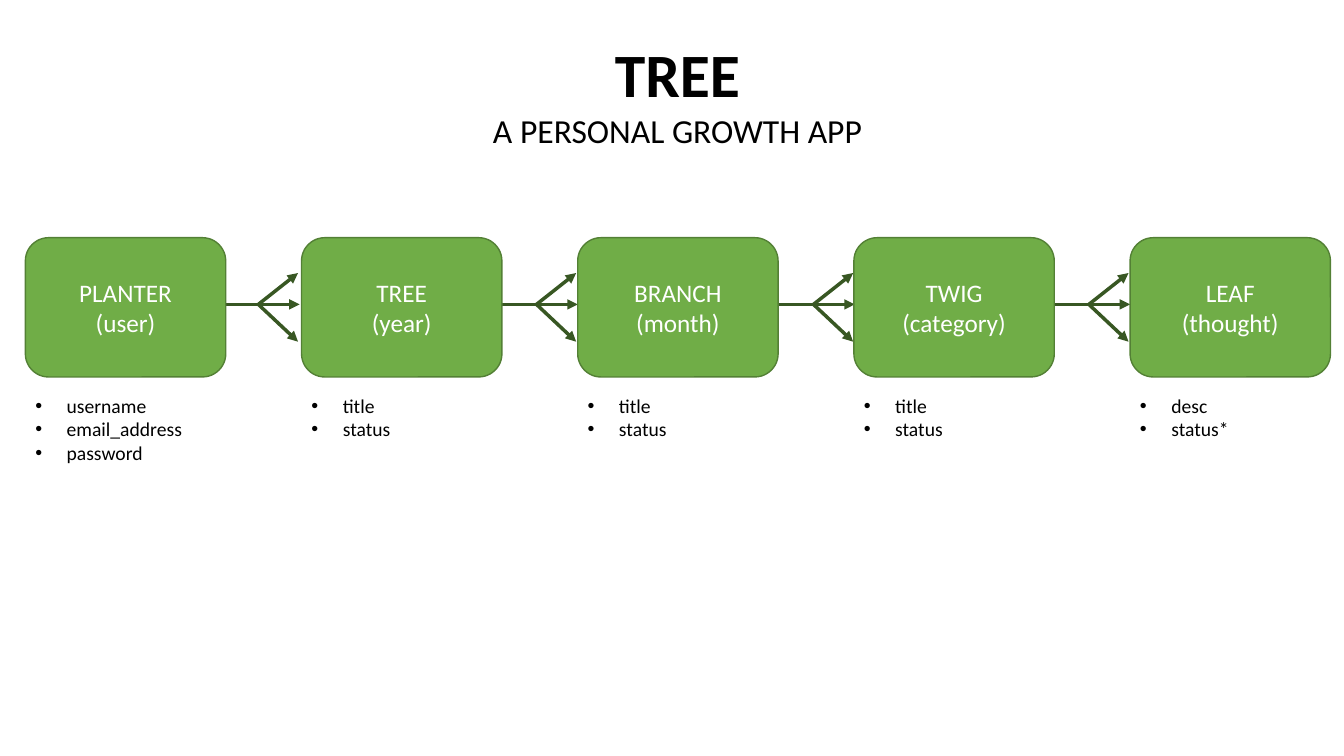
from lxml import etree
from pptx import Presentation
from pptx.dml.color import RGBColor
from pptx.enum import shapes, text
from pptx.oxml.ns import qn
from pptx.util import Cm, Pt

COLOURS = {
    "leaf": "70AD47",
    "edge": "538035",
    "arrow": "385723",
    "light": "FFFFFF",
    "dark": "000000",
}

MODELS = [
    (["PLANTER", "(user)"], ["username", "email_address", "password"]),
    (["TREE", "(year)"], ["title", "status"]),
    (["BRANCH (month)"], ["title", "status"]),
    (["TWIG", "(category)"], ["title", "status"]),
    (["LEAF", "(thought)"], ["desc", "status*"]),
]

MODEL_LEFT, MODEL_PITCH = 0.64, 6.96
MODEL_WIDTH, MODEL_HEIGHT = 5.05, 3.51
MODEL_TOP, FIELDS_TOP = 5.99, 9.8
LINE_HEIGHT, MARGINS = 0.6, 0.25
FAN_LEFTS = [5.49, 12.5, 19.48, 26.42]
FAN_MIDDLE = 7.67
FAN_BRANCHES = [(0, 2.06, 0), (1.02, 2.02, -0.79), (1.02, 2.02, 0.94)]


def colour(name):
    return RGBColor.from_string(COLOURS[name])


def apply_format(target, values):
    for name, value in values.items():
        setattr(target, name, value)


def style_line(line, name, width):
    line.color.rgb = colour(name)
    line.width = Pt(width)


def write_lines(frame, lines, size, name, align, bold=False):
    first = True
    for line in lines:
        para = frame.paragraphs[0] if first else frame.add_paragraph()
        first = False
        para.alignment = align
        span = para.add_run()
        span.text = line
        apply_format(span.font, {"name": "Calibri", "size": Pt(size), "bold": bold})
        span.font.color.rgb = colour(name)


def add_text_box(page, left, top, width, height):
    box = page.shapes.add_textbox(Cm(left), Cm(top), Cm(width), Cm(height))
    apply_format(box.text_frame, {
        "word_wrap": True,
        "auto_size": text.MSO_AUTO_SIZE.SHAPE_TO_FIT_TEXT,
    })
    return box.text_frame


def add_title(page, title, subtitle):
    frame = add_text_box(page, 10.8, 0.79, 12.55, 3.18)
    write_lines(frame, [title, subtitle], 24, "dark", text.PP_ALIGN.CENTER)
    heading = frame.paragraphs[0].runs[0]
    apply_format(heading.font, {"size": Pt(44), "bold": True})


def add_model(page, left, lines):
    box = page.shapes.add_shape(
        shapes.MSO_SHAPE.ROUNDED_RECTANGLE,
        Cm(left), Cm(MODEL_TOP), Cm(MODEL_WIDTH), Cm(MODEL_HEIGHT))
    box.shadow.inherit = False
    box.fill.solid()
    box.fill.fore_color.rgb = colour("leaf")
    style_line(box.line, "edge", 1)
    apply_format(box.text_frame, {
        "word_wrap": True,
        "vertical_anchor": text.MSO_ANCHOR.MIDDLE,
    })
    write_lines(box.text_frame, lines, 18, "light", text.PP_ALIGN.CENTER)


def add_fields(page, left, fields):
    height = len(fields) * LINE_HEIGHT + MARGINS
    frame = add_text_box(page, left, FIELDS_TOP, MODEL_WIDTH, height)
    write_lines(frame, fields, 14, "dark", text.PP_ALIGN.LEFT)
    indent = Cm(0.79)
    for para in frame.paragraphs:
        settings = para._p.get_or_add_pPr()
        settings.set("marL", str(indent))
        settings.set("indent", str(-indent))
        etree.SubElement(settings, qn("a:buFont"), typeface="Arial")
        etree.SubElement(settings, qn("a:buChar"), char="•")


def add_arrow(page, start_x, start_y, end_x, end_y):
    arrow = page.shapes.add_connector(
        shapes.MSO_CONNECTOR.STRAIGHT,
        Cm(start_x), Cm(start_y), Cm(end_x), Cm(end_y))
    style_line(arrow.line, "arrow", 2.5)
    etree.SubElement(arrow.line._get_or_add_ln(), qn("a:tailEnd"), type="triangle")
    etree.SubElement(arrow._element.spPr, qn("a:effectLst"))


def add_fan(page, left):
    for start, end, rise in FAN_BRANCHES:
        add_arrow(page, left + start, FAN_MIDDLE, left + end, FAN_MIDDLE + rise)


def main():
    deck = Presentation()
    apply_format(deck, {"slide_width": Cm(33.87), "slide_height": Cm(19.05)})
    page = deck.slides.add_slide(deck.slide_layouts[6])
    add_title(page, "TREE", "A PERSONAL GROWTH APP")
    for left in FAN_LEFTS:
        add_fan(page, left)
    for index, (lines, fields) in enumerate(MODELS):
        left = MODEL_LEFT + index * MODEL_PITCH
        add_model(page, left, lines)
        add_fields(page, left, fields)
    deck.save("out.pptx")


main()
